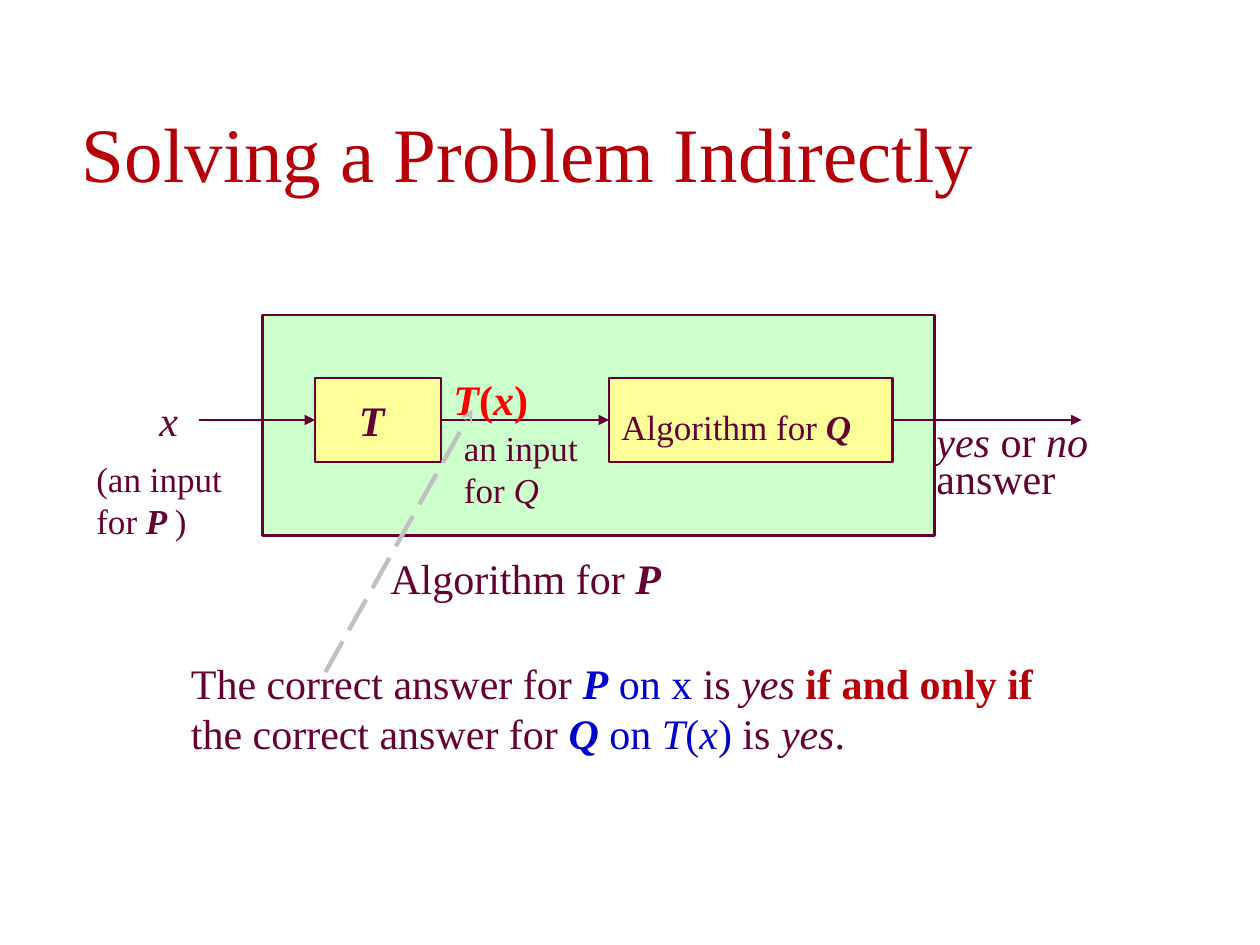
from lxml.etree import SubElement
from pptx import Presentation
from pptx.dml.color import RGBColor
from pptx.enum.dml import MSO_LINE
from pptx.enum.shapes import MSO_CONNECTOR, MSO_SHAPE
from pptx.enum.text import MSO_ANCHOR, MSO_AUTO_SIZE, PP_ALIGN
from pptx.oxml.ns import qn
from pptx.util import Inches, Pt

PLUM = RGBColor(0x66, 0x00, 0x33)
CRIMSON = RGBColor(0xB6, 0x00, 0x09)
RED = RGBColor(0xFF, 0x00, 0x00)
BLUE = RGBColor(0x00, 0x00, 0xCC)
GREEN = RGBColor(0xCC, 0xFF, 0xCC)
YELLOW = RGBColor(0xFF, 0xFF, 0x99)
GREY = RGBColor(0xC0, 0xC0, 0xC0)
FONT = "Times New Roman"
CELL = Inches(1) // 12
FLOW = 40

TITLE = "Solving a Problem Indirectly"
BOXES = {
    "problem": (25, 30, 64, 21, GREEN),
    "transform": (30, 36, 12, 8, YELLOW),
    "solver": (58, 36, 27, 8, YELLOW),
}
ARROWS = [
    (19, "transform", 30),
    ("transform", "solver", 58),
    ("solver", None, 103),
]
LABELS = [
    (33, 37, 6, 6, 24, PLUM, [[("T", "bi")]]),
    (42, 35, 14, 6, 24, RED, [[("T", "bi"), ("(", "b"), ("x", "bi"), (")", "b")]]),
    (43, 40, 14, 9, 20, PLUM, [[("an input for ", ""), ("Q", "i")]]),
    (58, 38, 27, 5, 20, PLUM, [[("Algorithm for ", ""), ("Q", "bi")]]),
    (88, 39, 26, 9, 24, PLUM, [[("yes", "i"), (" or ", ""), ("no", "i")], [("answer", "")]]),
    (14, 37, 5, 6, 24, PLUM, [[("x", "i")]]),
    (8, 43, 18, 9, 20, PLUM, [[("(an input for ", ""), ("P ", "bi"), (")", "")]]),
    (36, 52, 42, 6, 24, PLUM, [[("Algorithm for ", ""), ("P", "bi")]]),
]
CONCLUSION = (17, 62, 86, 11, 24, PLUM, [[
    ("The correct answer for ", ""), ("P", "bi", BLUE), (" on x", "", BLUE), (" is ", ""),
    ("yes ", "i"), ("if and only if", "b", CRIMSON), (" the correct answer for ", ""),
    ("Q", "bi", BLUE), (" on ", "", BLUE), ("T", "i", BLUE), ("(", "", BLUE),
    ("x", "i", BLUE), (")", "", BLUE), (" is ", ""), ("yes", "i"), (".", ""),
]])


def grid(*cells):
    return [c * CELL for c in cells]


def add_box(s, x, y, w, h, fill):
    box = s.shapes.add_shape(MSO_SHAPE.RECTANGLE, *grid(x, y, w, h))
    box.shadow.inherit = False
    box.fill.solid()
    box.fill.fore_color.rgb = fill
    box.line.color.rgb = PLUM
    box.line.width = Pt(1.5)
    return box


def add_arrow(s, x1, y1, x2, y2, color=PLUM, width=1.5, head="triangle", dash=None):
    line = s.shapes.add_connector(MSO_CONNECTOR.STRAIGHT, *grid(x1, y1, x2, y2))
    line.line.color.rgb = color
    line.line.width = Pt(width)
    if dash:
        line.line.dash_style = dash
    SubElement(line.line._get_or_add_ln(), qn("a:tailEnd"), type=head)
    SubElement(line._element.spPr, qn("a:effectLst"))
    return line


def add_label(s, x, y, w, h, size, color, paragraphs):
    tf = s.shapes.add_textbox(*grid(x, y, w, h)).text_frame
    tf.word_wrap = True
    for i, runs in enumerate(paragraphs):
        p = tf.add_paragraph() if i else tf.paragraphs[0]
        p.font.name, p.font.size = FONT, Pt(size)
        if i:
            p.line_spacing = 0.7
        for text, style, *own in runs:
            r = p.add_run()
            r.text = text
            r.font.bold, r.font.italic = "b" in style, "i" in style
            r.font.color.rgb = own[0] if own else color


def main():
    """Build the slide on solving a problem through a transformation."""
    prs = Presentation()
    prs.slide_width, prs.slide_height = Inches(10), Inches(7.5)
    s = prs.slides.add_slide(prs.slide_layouts[5])

    title = s.shapes.title
    title.left, title.top, title.width, title.height = map(Inches, (0.55, 0.79, 9.45, 0.83))
    tf = title.text_frame
    tf.text = TITLE
    tf.vertical_anchor = MSO_ANCHOR.BOTTOM
    tf.auto_size = MSO_AUTO_SIZE.NONE
    p = tf.paragraphs[0]
    p.alignment = PP_ALIGN.LEFT
    p.font.name, p.font.size, p.font.color.rgb = FONT, Pt(44), CRIMSON

    boxes = {name: add_box(s, *box) for name, box in BOXES.items()}
    for start, target, end in ARROWS:
        x = start if start not in BOXES else BOXES[start][0] + BOXES[start][2]
        arrow = add_arrow(s, x, FLOW, end, FLOW)
        if start in boxes:
            arrow.begin_connect(boxes[start], 3)
        if target:
            arrow.end_connect(boxes[target], 1)

    for label in LABELS:
        add_label(s, *label)
    add_arrow(s, 31, 64, 45, 39, GREY, 2.5, "stealth", MSO_LINE.LONG_DASH)
    add_label(s, *CONCLUSION)
    prs.save("out.pptx")


if __name__ == "__main__":
    main()
